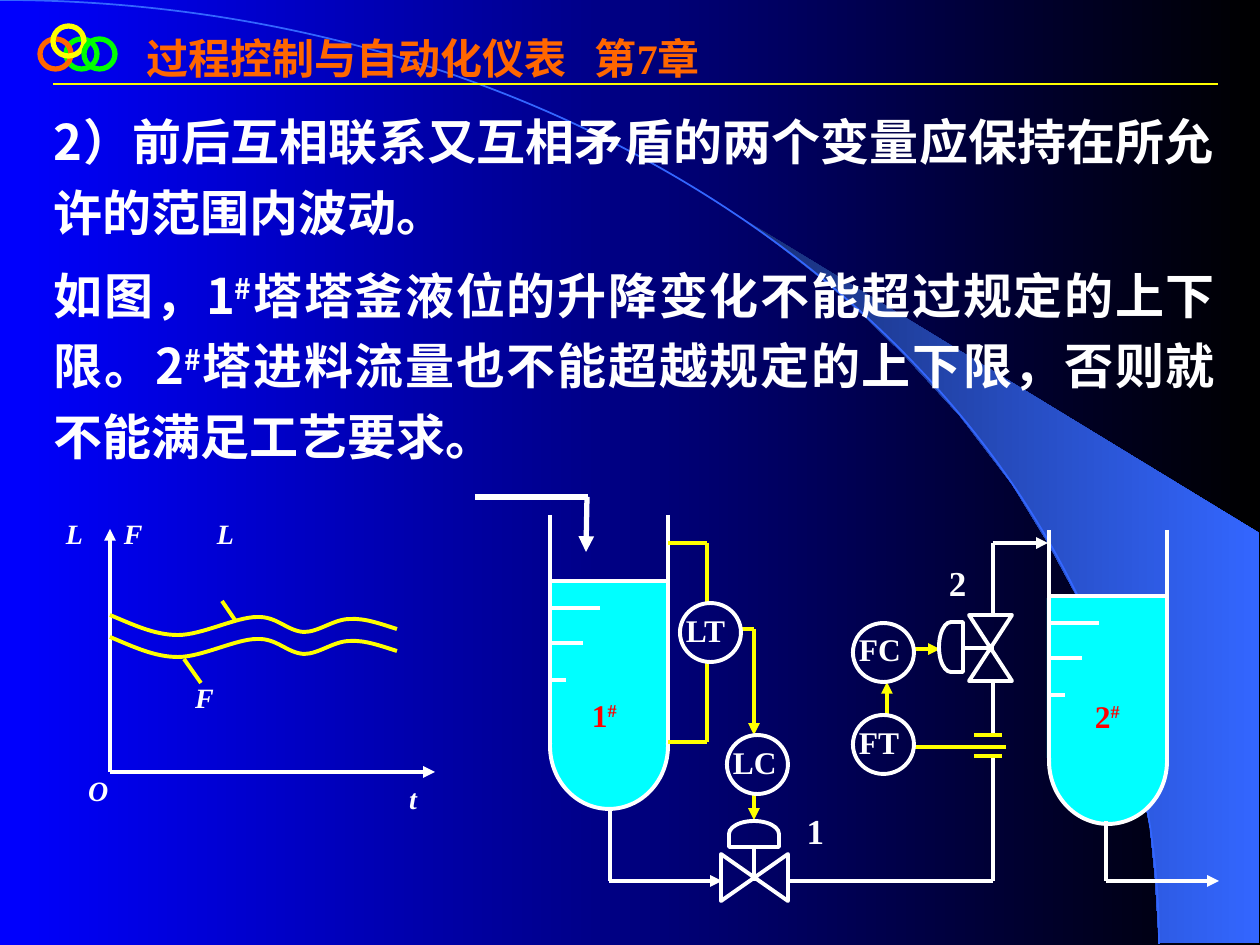
import pptx
import pptx.util
import pptx.dml.color
import pptx.enum.text
import pptx.enum.shapes
import pptx.oxml.ns
import lxml.etree

SCALE = 914400 / 126
WHITE, YELLOW, CYAN, RED = "FFFFFF", "FFFF00", "00FFFF", "FF0000"
SANS, SERIF = "Noto Sans CJK SC", "Times New Roman"
FORM = pptx.enum.shapes.MSO_SHAPE
ALIGN = pptx.enum.text.PP_ALIGN
Pt = pptx.util.Pt
qn = pptx.oxml.ns.qn
HEAD = {"size": Pt(24), "name": SERIF, "bold": True}
BODY = {"size": Pt(28), "name": SANS, "bold": True}
TAG = {"size": Pt(18), "name": SERIF, "bold": True}
MARK = {"size": Pt(20), "name": SERIF, "bold": True}
AXIS = {"size": Pt(16), "name": SERIF, "bold": True, "italic": True}


def px(*nums):
    return [pptx.util.Emu(round(num * SCALE)) for num in nums]


def apply(item, vals):
    for key, val in vals.items():
        setattr(item, key, val)


def node(parent, name, **vals):
    return lxml.etree.SubElement(parent, qn(name), vals)


def paint(fill, tone):
    fill.solid()
    fill.fore_color.rgb = pptx.dml.color.RGBColor.from_string(tone)


def fade(fill, *tones):
    fill.gradient()
    fill.gradient_angle = 0
    for place, (stop, tone) in enumerate(zip(fill.gradient_stops, tones)):
        stop.position = place
        stop.color.rgb = pptx.dml.color.RGBColor.from_string(tone)


def stroke(line, tone, width):
    paint(line.fill, tone)
    line.width = Pt(width)


def write(frame, paras, font, tone=WHITE, align=ALIGN.JUSTIFY, tab=0, lead=1.2, wrap=True):
    left, top = px(13, 6)
    apply(frame, {"word_wrap": wrap, "margin_left": left, "margin_right": left,
                  "margin_top": top, "margin_bottom": top,
                  "auto_size": pptx.enum.text.MSO_AUTO_SIZE.NONE,
                  "vertical_anchor": pptx.enum.text.MSO_ANCHOR.TOP})
    for spot, parts in enumerate(paras):
        para = frame.add_paragraph() if spot else frame.paragraphs[0]
        apply(para, {"alignment": align, "line_spacing": lead})
        if spot:
            para.space_before = Pt(7)
        if tab:
            tabs = node(para._p.get_or_add_pPr(), "a:tabLst")
            node(tabs, "a:tab", pos=str(px(tab)[0]), algn="l")
        for part in parts:
            run = para.add_run()
            run.text = part
            apply(run.font, font)
            paint(run.font.fill, tone)
            props = run._r.get_or_add_rPr()
            node(props, "a:ea", typeface=SANS)
            if part == "#":
                props.set("baseline", "30000")


def label(slide, box, parts, font, **style):
    write(slide.shapes.add_textbox(*px(*box)).text_frame, [parts], font, **style)


def shape(slide, form, box, fill=None, tone=WHITE, width=2.25, turn=0):
    item = slide.shapes.add_shape(form, *px(*box))
    item.shadow.inherit = False
    item.rotation = turn
    if fill:
        paint(item.fill, fill)
    else:
        item.fill.background()
    if tone:
        stroke(item.line, tone, width)
    else:
        item.line.fill.background()


def wire(slide, ends, tone=WHITE, width=2.25, arrow=False):
    item = slide.shapes.add_connector(pptx.enum.shapes.MSO_CONNECTOR.STRAIGHT, *px(*ends))
    stroke(item.line, tone, width)
    props = item._element.spPr
    if arrow:
        node(props.find(qn("a:ln")), "a:tailEnd", type="triangle")
    node(props, "a:effectLst")


def wires(slide, rows, **style):
    for row in rows:
        wire(slide, row, **style)


def trace(slide, spots, close=False):
    spots = [px(*spot) for spot in spots]
    pen = slide.shapes.build_freeform(*spots[0], scale=1.0)
    pen.add_line_segments(spots[1:], close=close)
    item = pen.convert_to_shape()
    item.shadow.inherit = False
    return item


def curve(slide, knots, tone, width):
    item = trace(slide, knots)
    item.fill.background()
    stroke(item.line, tone, width)
    legs = list(item._element.iter(qn("a:lnTo")))
    track = legs[0].getparent()
    for base in range(0, len(legs), 3):
        bend = node(track, "a:cubicBezTo")
        for leg in legs[base:base + 3]:
            bend.append(leg[0])
            track.remove(leg)


def tower(slide, x, y):
    shape(slide, FORM.OVAL, (x, y + 168, 118, 126), fill=CYAN)
    shape(slide, FORM.RECTANGLE, (x - 2, y + 68, 120, 160), fill=CYAN, tone=None)
    for side in (x, x + 118):
        wire(slide, (side, y, side, y + 228))
    for drop, span in ((66, 116), (93, 48), (128, 31), (165, 14)):
        wire(slide, (x + 2, y + drop, x + 2 + span, y + drop))


def meter(slide, x, y, name):
    shape(slide, FORM.OVAL, (x, y, 61, 59))
    label(slide, (x - 7, y - 6, 86, 50), [name], TAG)


def valve(slide, body, cap, stem, turn):
    shape(slide, FORM.FLOWCHART_COLLATE, body, turn=turn)
    shape(slide, FORM.FLOWCHART_DELAY, cap, turn=turn)
    wire(slide, stem)


def backdrop(slide):
    fade(slide.background.fill, "0000FF", "000000")
    wedge = trace(slide, [
        (1159, 943), (1259, 943), (1259, 533), (742, 218), (786, 251), (823, 280),
        (863, 315), (902, 353), (960, 416), (1012, 484), (1048, 543), (1081, 604),
        (1106, 665), (1125, 721), (1138, 767), (1150, 827), (1155, 877)], close=True)
    fade(wedge.fill, "182F76", "3366FF")
    wedge.line.fill.background()
    curve(slide, [(0, 0), (640, 0), (1159, 422), (1159, 944)], "3366FF", 1)
    for x, y, tone in ((66, 39, "00FF00"), (40, 39, "FF6600"),
                       (53, 26, YELLOW), (84, 39, "00FF00")):
        shape(slide, FORM.OVAL, (x, y, 31, 30), tone=tone, width=3)
    wire(slide, (53, 84, 1218, 84), tone=YELLOW, width=1.5)


def heading(slide):
    title = slide.shapes.title
    title._element.getparent().append(title._element)
    apply(title, dict(zip(("left", "top", "width", "height"), px(134, 26, 1061, 63))))
    write(title.text_frame, [["过程控制与自动化仪表\t第7章"]], HEAD, tone="FF6600",
          align=ALIGN.LEFT, tab=448, lead=1.0)


def graph(slide):
    wires(slide, [(110, 772, 110, 529), (110, 772, 435, 772)], arrow=True)
    knots = [(110, 615), (132, 624), (154, 635), (178, 635), (202, 635), (236, 617),
             (257, 617), (277, 616), (287, 631), (304, 632), (319, 632), (334, 619),
             (350, 619), (365, 618), (381, 624), (397, 629)]
    for drop in (22, 0):
        curve(slide, [(x, y + drop) for x, y in knots], YELLOW, 2.25)
    wires(slide, [(184, 659, 201, 683), (222, 601, 235, 620)], tone=YELLOW)
    label(slide, (53, 504, 132, 69), ["L\tF"], AXIS, tab=58)
    for x, y, name in ((204, 504, "L"), (182, 668, "F"), (396, 769, "t"), (75, 761, "O")):
        label(slide, (x, y, 55, 48), [name], AXIS)


def plant(slide):
    tower(slide, 550, 515)
    tower(slide, 1049, 530)
    for x, y, name in ((579, 682, "1"), (1082, 683, "2")):
        label(slide, (x, y, 86, 80), [name, "#"], TAG, tone=RED)
    wires(slide, [(610, 808, 610, 881), (788, 881, 993, 881), (993, 755, 993, 881),
                  (993, 681, 993, 735), (993, 543, 993, 616), (1106, 821, 1106, 881)])
    wires(slide, [(609, 881, 722, 881), (993, 543, 1048, 543), (1106, 881, 1219, 881)],
          arrow=True)
    wire(slide, (475, 497, 588, 497), width=3)
    wire(slide, (587, 497, 586, 552), width=3, arrow=True)
    wires(slide, [(668, 543, 707, 543), (668, 742, 707, 742), (707, 543, 707, 602),
                  (707, 662, 707, 742), (741, 629, 754, 629), (974, 735, 1002, 735),
                  (974, 756, 1002, 756), (914, 747, 1006, 747)], tone=YELLOW)
    wires(slide, [(754, 629, 754, 735), (754, 795, 754, 820), (887, 717, 887, 682),
                  (914, 649, 940, 649)], tone=YELLOW, arrow=True)
    for x, y, name in ((680, 603, "LT"), (727, 735, "LC"), (853, 623, "FC"), (853, 715, "FT")):
        meter(slide, x, y, name)
    valve(slide, (731, 844, 47, 67), (741, 809, 26, 50), (754, 848, 754, 881), 270)
    valve(slide, (969, 615, 43, 66), (939, 622, 24, 50), (964, 648, 994, 648), 180)
    for x, y, name in ((794, 795, "1"), (936, 547, "2")):
        label(slide, (x, y, 43, 63), [name], MARK, tone="FDFDFD", align=ALIGN.CENTER, wrap=False)


def main():
    deck = pptx.Presentation()
    deck.slide_width, deck.slide_height = px(1260, 945)
    slide = deck.slides.add_slide(deck.slide_layouts[5])
    backdrop(slide)
    heading(slide)
    body = slide.shapes.add_textbox(*px(41, 94, 1187, 378))
    write(body.text_frame, [
        ["2）前后互相联系又互相矛盾的两个变量应保持在所允许的范围内波动。"],
        ["如图，1", "#", "塔塔釜液位的升降变化不能超过规定的上下限。2", "#",
         "塔进料流量也不能超越规定的上下限，否则就不能满足工艺要求。"]], BODY)
    graph(slide)
    plant(slide)
    deck.save("out.pptx")


if __name__ == "__main__":
    main()
